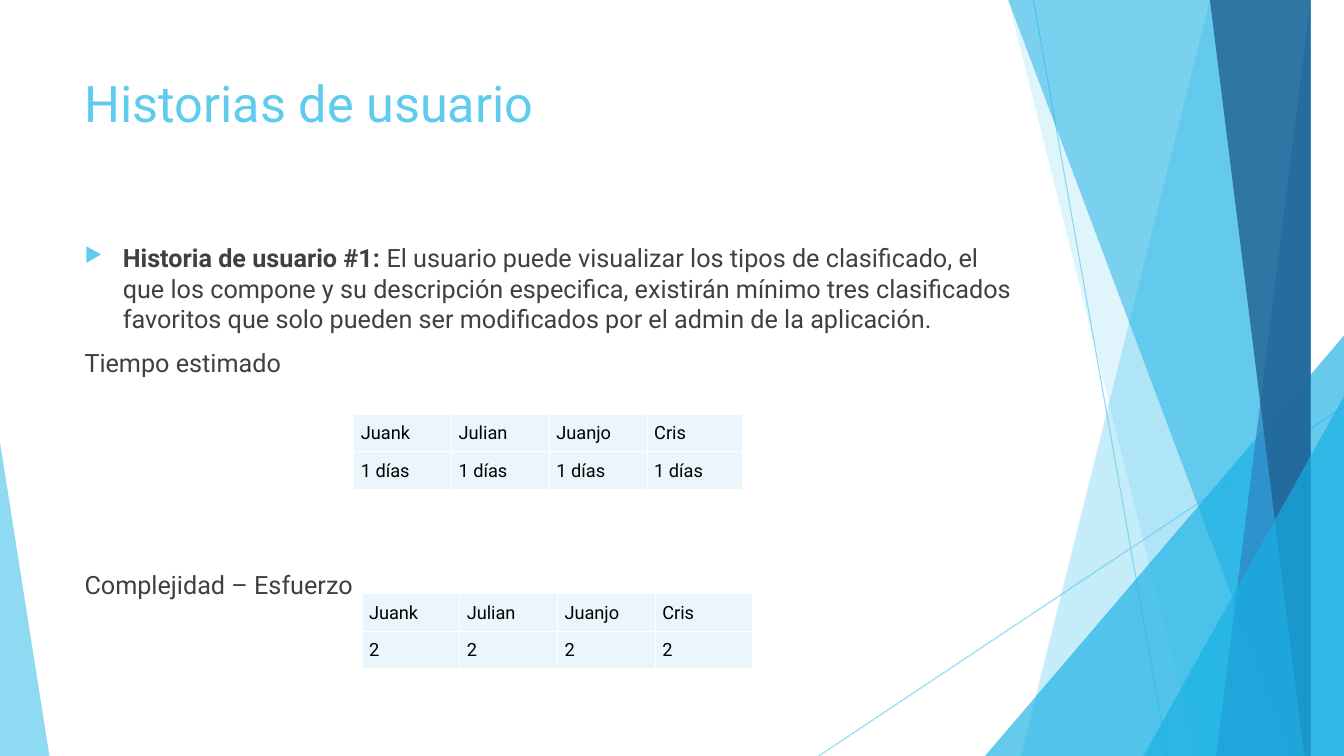
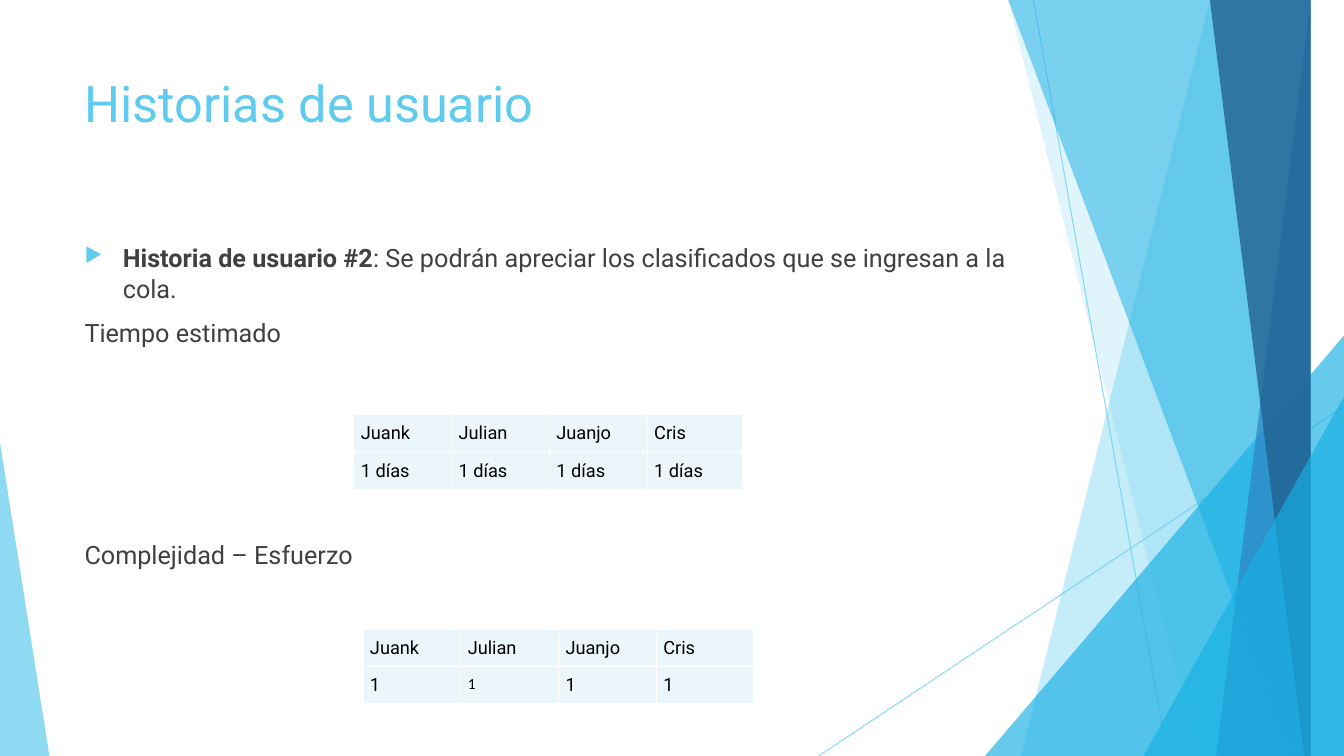
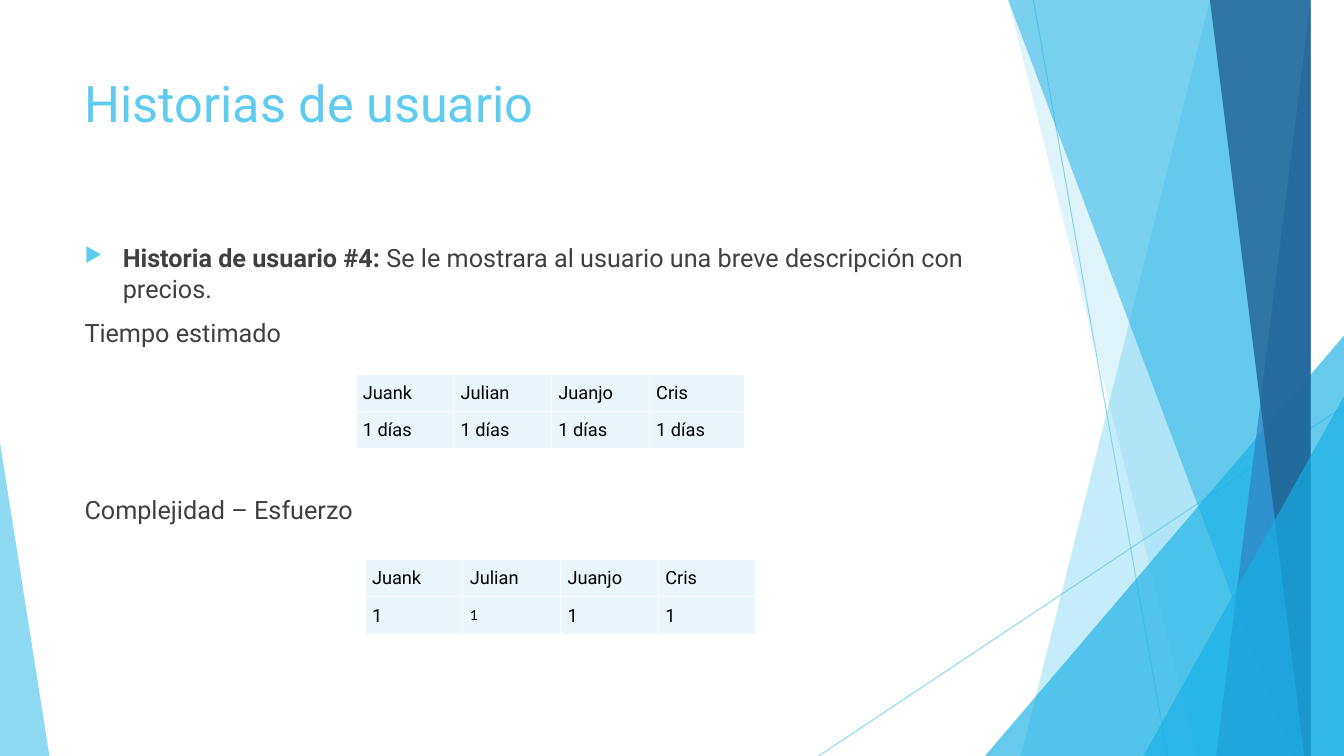
from dataclasses import dataclass
from typing import Optional

from lxml.etree import SubElement
from pptx import Presentation
from pptx.dml.color import RGBColor
from pptx.enum.shapes import MSO_CONNECTOR, MSO_SHAPE
from pptx.enum.text import MSO_ANCHOR, PP_ALIGN
from pptx.oxml import parse_xml
from pptx.oxml.ns import nsdecls, qn
from pptx.util import Inches, Pt

SKY = RGBColor(0x5F, 0xCB, 0xEF)
CYAN = RGBColor(0x17, 0xB0, 0xE4)
BLUE = RGBColor(0x2E, 0x83, 0xC3)
NAVY = RGBColor(0x22, 0x62, 0x92)
PALE = RGBColor(0xEA, 0xF6, 0xFC)
WHITE = RGBColor(0xFF, 0xFF, 0xFF)
BLACK = RGBColor(0, 0, 0)
GREY = RGBColor(0x40, 0x40, 0x40)

FONT = "Roboto"
WIDTH, HEIGHT = 13.33, 7.5
LEFT, TEXT_WIDTH = 0.74, 9.4
ROW_HEIGHT, COLUMN_WIDTH = 0.36, 0.97
CELL_INSET = 0.07
PEOPLE = ("Juank", "Julian", "Juanjo", "Cris")


@dataclass(frozen=True)
class Ray:
    """A thin line from one point to another."""
    start: tuple[float, float]
    end: tuple[float, float]


@dataclass(frozen=True)
class Band:
    """A full-height band from a slanted left edge to the right slide edge."""
    top_x: float
    bottom_x: float
    color: RGBColor
    opacity: int


@dataclass(frozen=True)
class Wedge:
    """A triangle on the bottom edge; apex is 0 for left and 1 for right."""
    left: float
    top: float
    width: float
    apex: int
    color: RGBColor
    opacity: int


@dataclass(frozen=True)
class Grid:
    """A table of people and their values."""
    left: float
    top: float
    values: tuple[str, ...]
    last_width: float = COLUMN_WIDTH
    small_column: Optional[int] = None


@dataclass(frozen=True)
class Story:
    """One user story with its time and effort tables."""
    heading: str
    description: str
    effort_gap: int
    time: Grid
    effort: Grid


DECORATION = (
    Ray((10.25, 0), (11.58, HEIGHT)),
    Ray((WIDTH, 4.03), (8.12, HEIGHT)),
    Band(12.28, 10.04, SKY, 36),
    Band(10.5, 11.83, SKY, 20),
    Wedge(9.77, 3.33, 3.56, 1, CYAN, 66),
    Band(10.21, 12.91, CYAN, 50),
    Band(13.03, 11.92, BLUE, 70),
    Band(11.96, 13.18, NAVY, 80),
    Wedge(11.34, 3.93, 1.99, 1, CYAN, 66),
    Wedge(0, 4.39, 0.49, 0, SKY, 70),
)

DAYS = ("1 días",) * 4
STORIES = (
    Story(
        "Historia de usuario #1: ",
        "El usuario puede visualizar los tipos de clasificado, el que los compone y su "
        "descripción especifica, existirán mínimo tres clasificados favoritos que solo "
        "pueden ser modificados por el admin de la aplicación.",
        137,
        Grid(3.51, 4.11, DAYS, last_width=0.95),
        Grid(3.59, 5.89, ("2",) * 4),
    ),
    Story(
        "Historia de usuario #2",
        ": Se podrán apreciar los clasificados que se ingresan a la cola.",
        137,
        Grid(3.51, 4.11, DAYS, last_width=0.95),
        Grid(3.6, 6.24, ("1",) * 4, small_column=1),
    ),
    Story(
        "Historia de usuario #4:",
        " Se le mostrara al usuario una breve descripción con precios.",
        105,
        Grid(3.53, 3.71, DAYS, last_width=0.95),
        Grid(3.62, 5.55, ("1",) * 4, small_column=1),
    ),
)


def style_font(font, size: int, color: RGBColor, name: str = FONT) -> None:
    """Set size, colour and typeface."""
    font.size, font.name = Pt(size), name
    font.color.rgb = color


def set_opacity(shape, percent: int) -> None:
    """Make the colours of a shape or line partly transparent."""
    for color in shape.element.spPr.iter(qn("a:srgbClr")):
        SubElement(color, qn("a:alpha"), val=str(percent * 1000))


def draw_ray(page, ray: Ray) -> None:
    """Draw a thin translucent line."""
    points = [Inches(value) for value in ray.start + ray.end]
    line = page.shapes.add_connector(MSO_CONNECTOR.STRAIGHT, *points)
    line.line.color.rgb = SKY
    line.line.width = Pt(0.75)
    set_opacity(line, 70)
    SubElement(line.element.spPr, qn("a:effectLst"))


def paint(shape, color: RGBColor, opacity: int) -> None:
    """Give a shape a translucent fill without line or shadow."""
    shape.shadow.inherit = False
    shape.fill.solid()
    shape.fill.fore_color.rgb = color
    shape.line.fill.background()
    set_opacity(shape, opacity)


def draw_band(page, band: Band) -> None:
    """Draw a slanted band."""
    builder = page.shapes.build_freeform(band.top_x, 0, scale=Inches(1))
    builder.add_line_segments(
        [(WIDTH, 0), (WIDTH, HEIGHT), (band.bottom_x, HEIGHT)], close=True)
    paint(builder.convert_to_shape(), band.color, band.opacity)


def draw_wedge(page, wedge: Wedge) -> None:
    """Draw a triangle standing on the bottom edge."""
    shape = page.shapes.add_shape(
        MSO_SHAPE.ISOSCELES_TRIANGLE, Inches(wedge.left), Inches(wedge.top),
        Inches(wedge.width), Inches(HEIGHT - wedge.top))
    shape.adjustments[0] = wedge.apex
    paint(shape, wedge.color, wedge.opacity)


def decorate_layout(layout, page) -> None:
    """Draw the decoration once and place it on the shared layout."""
    for placeholder in list(layout.placeholders):
        if placeholder.placeholder_format.idx:
            placeholder.element.getparent().remove(placeholder.element)
    painters = {Ray: draw_ray, Band: draw_band, Wedge: draw_wedge}
    for part in DECORATION:
        painters[type(part)](page, part)
    for shape in list(page.shapes):
        if not shape.is_placeholder:
            layout.shapes.element.append(shape.element)


def add_title(page, text: str) -> None:
    """Place and format the title."""
    title = page.shapes.title
    title.left, title.top = Inches(LEFT), Inches(0.67)
    title.width, title.height = Inches(TEXT_WIDTH), Inches(1.44)
    title.text_frame.text = text
    title.text_frame.vertical_anchor = MSO_ANCHOR.TOP
    para = title.text_frame.paragraphs[0]
    para.alignment = PP_ALIGN.LEFT
    style_font(para.font, 36, SKY)


def add_bullet(para) -> None:
    """Give a paragraph a hanging arrow bullet."""
    properties = para._p.get_or_add_pPr()
    properties.set("marL", str(Inches(0.38)))
    properties.set("indent", str(-Inches(0.38)))
    color = SubElement(properties, qn("a:buClr"))
    SubElement(color, qn("a:srgbClr"), val=str(SKY))
    SubElement(properties, qn("a:buSzPct"), val="80000")
    SubElement(properties, qn("a:buChar"), char="▶")


def add_body(page, story: Story) -> None:
    """Write the story and the headings of its two tables."""
    box = page.shapes.add_textbox(
        Inches(LEFT), Inches(2.36), Inches(TEXT_WIDTH), Inches(4.24))
    frame = box.text_frame
    frame.word_wrap = True
    lines = (
        ((story.heading, story.description), 10),
        (("Tiempo estimado",), 10),
        (("Complejidad – Esfuerzo",), story.effort_gap),
    )
    for index, (texts, gap) in enumerate(lines):
        para = frame.add_paragraph() if index else frame.paragraphs[0]
        if index == 0:
            add_bullet(para)
        para.space_before = Pt(gap)
        style_font(para.font, 18, GREY)
        for text in texts:
            span = para.add_run()
            span.text = text
            span.font.bold = text == story.heading
    

def add_borders(cell) -> None:
    """Draw white borders around a cell."""
    properties = cell._tc.get_or_add_tcPr()
    for index, side in enumerate(("lnL", "lnR", "lnT", "lnB")):
        properties.insert(index, parse_xml(
            f'<a:{side} {nsdecls("a")} w="{Pt(1)}"><a:solidFill>'
            f'<a:srgbClr val="{WHITE}"/></a:solidFill></a:{side}>'))


def fill_cell(cell, text: str, small: bool) -> None:
    """Write and format one table cell."""
    cell.text = text
    cell.margin_left = cell.margin_right = Inches(CELL_INSET)
    cell.margin_top = cell.margin_bottom = Inches(CELL_INSET)
    cell.fill.solid()
    cell.fill.fore_color.rgb = PALE
    add_borders(cell)
    para = cell.text_frame.paragraphs[0]
    para.line_spacing = 1.07
    para.space_after = Pt(8)
    if small:
        style_font(para.font, 11, BLACK, "Calibri")
    else:
        style_font(para.font, 13, BLACK)


def add_grid(page, grid: Grid) -> None:
    """Draw a table with the people above their values."""
    rows = (PEOPLE, grid.values)
    widths = [COLUMN_WIDTH] * (len(PEOPLE) - 1) + [grid.last_width]
    table = page.shapes.add_table(
        len(rows), len(PEOPLE), Inches(grid.left), Inches(grid.top),
        Inches(sum(widths)), Inches(ROW_HEIGHT * len(rows))).table
    table.first_row = table.horz_banding = False
    for column, width in zip(table.columns, widths):
        column.width = Inches(width)
    for row, texts in enumerate(rows):
        for column, text in enumerate(texts):
            small = row == 1 and column == grid.small_column
            fill_cell(table.cell(row, column), text, small)


def main() -> None:
    """Build and save the deck."""
    deck = Presentation()
    deck.slide_width, deck.slide_height = Inches(WIDTH), Inches(HEIGHT)
    layout = deck.slide_layouts.get_by_name("Title Only")
    for index, story in enumerate(STORIES):
        page = deck.slides.add_slide(layout)
        if index == 0:
            decorate_layout(layout, page)
        add_title(page, "Historias de usuario")
        add_body(page, story)
        add_grid(page, story.time)
        add_grid(page, story.effort)
    deck.save("out.pptx")


main()
